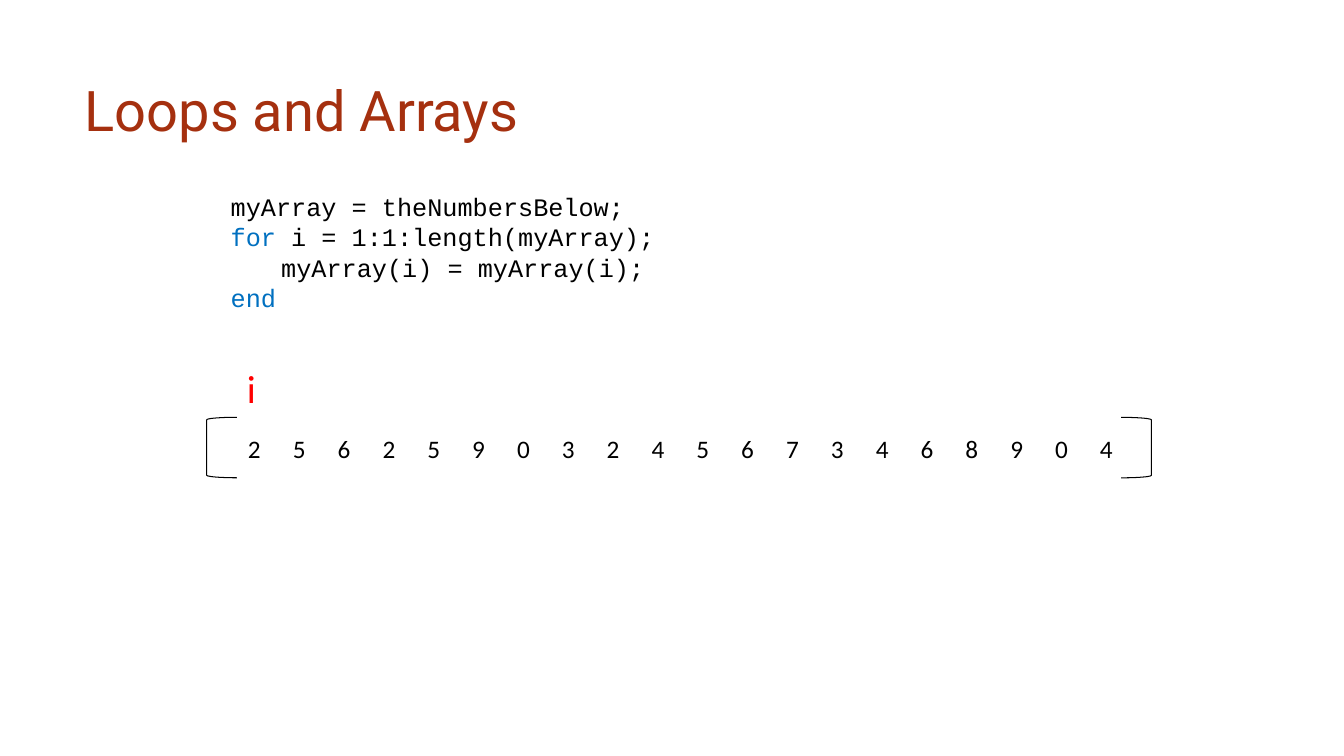
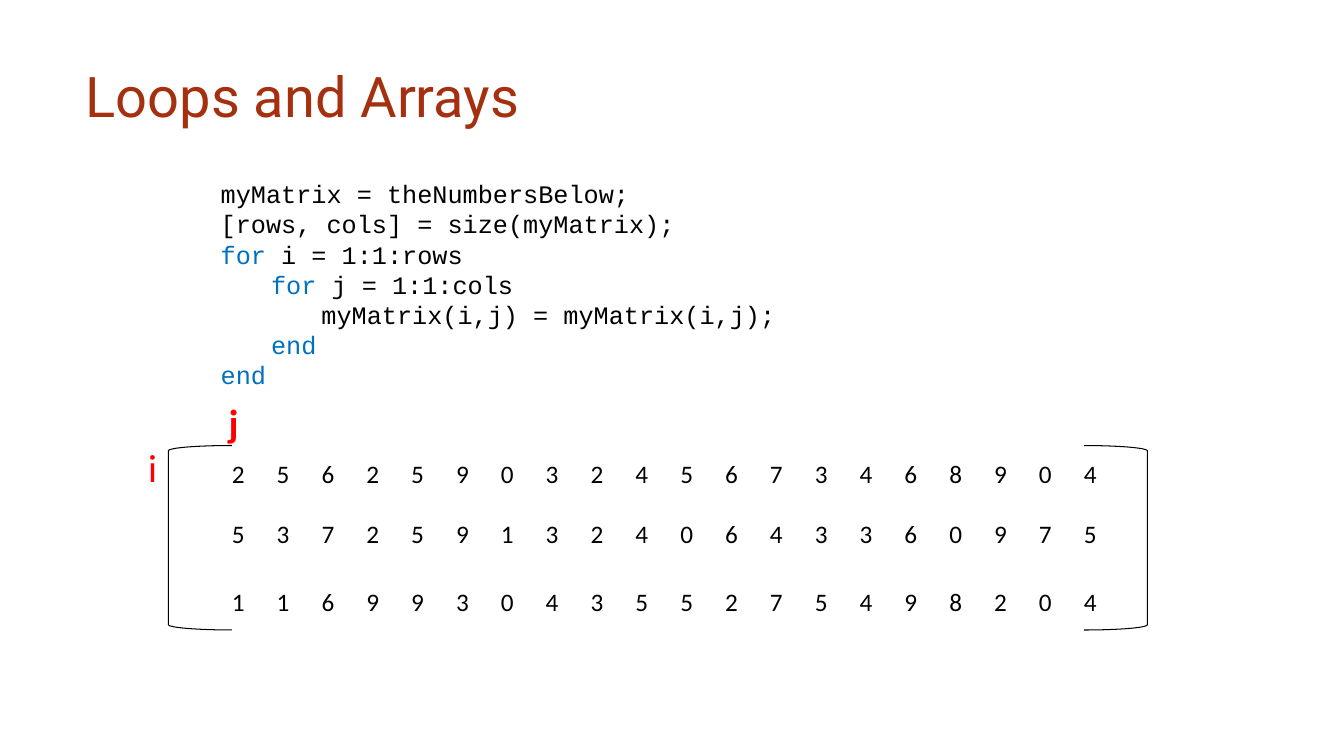
from dataclasses import dataclass

from lxml.etree import SubElement
from pptx import Presentation
from pptx.dml.color import RGBColor
from pptx.enum.shapes import MSO_SHAPE
from pptx.enum.text import MSO_ANCHOR, MSO_AUTO_SIZE, PP_ALIGN
from pptx.oxml.ns import qn
from pptx.util import Inches, Pt

# Shared style
TITLE_COLOR = "A5300F"
KEYWORD_COLOR = "0070C0"
INDEX_COLOR = "FF0000"
BLACK = "000000"
TITLE_FONT, CODE_FONT, TEXT_FONT = "Roboto", "Courier New", "Calibri"
KEYWORDS = ("for", "end")
TAB_STOPS = (0.5, 1.0)
COLUMNS = 20
ROW_SPAN = 8.45  # first digit to last digit
PITCH = ROW_SPAN / (COLUMNS - 1)


@dataclass(frozen=True)
class Box:
    left: float
    top: float
    width: float
    height: float

    def lengths(self):
        return [Inches(v) for v in (self.left, self.top, self.width, self.height)]


@dataclass(frozen=True)
class DigitRow:
    top: float
    digits: str


@dataclass(frozen=True)
class IndexLabel:
    text: str
    box: Box
    bold: bool = False


@dataclass(frozen=True)
class LoopSlide:
    title_box: Box
    code_box: Box
    code: tuple[str, ...]
    digits_left: float
    rows: tuple[DigitRow, ...]
    labels: tuple[IndexLabel, ...]
    brackets: tuple[Box, Box]


SLIDES = (
    LoopSlide(
        title_box=Box(0.74, 0.4, 9.4, 1.44),
        code_box=Box(2.19, 1.85, 6.05, 1.31),
        code=(
            "myArray = theNumbersBelow;",
            "for i = 1:1:length(myArray);",
            "\tmyArray(i) = myArray(i);",
            "end",
        ),
        digits_left=2.46,
        rows=(DigitRow(4.3, "25625903245673468904"),),
        labels=(IndexLabel("i", Box(2.35, 3.57, 0.88, 0.57)),),
        brackets=(Box(2.05, 4.14, 0.3, 0.6), Box(11.12, 4.14, 0.3, 0.6)),
    ),
    LoopSlide(
        title_box=Box(0.75, 0.27, 9.4, 1.44),
        code_box=Box(2.09, 1.72, 6.05, 2.22),
        code=(
            "myMatrix = theNumbersBelow;",
            "[rows, cols] = size(myMatrix);",
            "for i = 1:1:rows",
            "\tfor j = 1:1:cols",
            "\t\tmyMatrix(i,j) = myMatrix(i,j);",
            "\tend",
            "end",
        ),
        digits_left=2.3,
        rows=(
            DigitRow(4.55, "25625903245673468904"),
            DigitRow(5.14, "53725913240643360975"),
            DigitRow(5.82, "11699304355275498204"),
        ),
        labels=(
            IndexLabel("j", Box(2.17, 3.9, 0.88, 0.57), bold=True),
            IndexLabel("i", Box(1.37, 4.35, 0.3, 0.57)),
        ),
        brackets=(Box(1.67, 4.42, 0.63, 1.83), Box(10.75, 4.42, 0.63, 1.83)),
    ),
)


def color(value: str) -> RGBColor:
    return RGBColor.from_string(value)


def add_run(p, text: str, font: str, size: float, hex_color: str, bold: bool = False) -> None:
    r = p.add_run()
    r.text = text
    r.font.name = font
    r.font.size = Pt(size)
    r.font.bold = bold
    r.font.color.rgb = color(hex_color)


def add_text_frame(s, box: Box):
    tf = s.shapes.add_textbox(*box.lengths()).text_frame
    tf.word_wrap = True
    return tf


def add_title(s, text: str, box: Box) -> None:
    sp = s.shapes.title
    sp.left, sp.top, sp.width, sp.height = box.lengths()
    tf = sp.text_frame
    tf.auto_size = MSO_AUTO_SIZE.NONE
    tf.vertical_anchor = MSO_ANCHOR.MIDDLE
    p = tf.paragraphs[0]
    p.alignment = PP_ALIGN.LEFT
    p.line_spacing = 0.9
    add_run(p, text, TITLE_FONT, 40, TITLE_COLOR)


def add_tab_stops(p) -> None:
    tabs = SubElement(p._p.get_or_add_pPr(), qn("a:tabLst"))
    for stop in TAB_STOPS:
        SubElement(tabs, qn("a:tab"), pos=str(Inches(stop)), algn="l")


def add_code(s, lines: tuple[str, ...], box: Box) -> None:
    tf = add_text_frame(s, box)
    for n, line in enumerate(lines):
        p = tf.paragraphs[0] if n == 0 else tf.add_paragraph()
        add_tab_stops(p)
        body = line.lstrip("\t")
        indent = line[:len(line) - len(body)]
        word, space, rest = body.partition(" ")
        # A leading keyword gets its own colour
        if word in KEYWORDS:
            parts = ((indent, BLACK), (word, KEYWORD_COLOR), (space + rest, BLACK))
        else:
            parts = ((line, BLACK),)
        for text, hex_color in parts:
            if text:
                add_run(p, text, CODE_FONT, 18, hex_color)


def add_digits(s, left: float, row: DigitRow) -> None:
    for n, digit in enumerate(row.digits):
        tf = add_text_frame(s, Box(left + n * PITCH, row.top, 0.26, 0.3))
        tf.margin_left = tf.margin_right = tf.margin_top = tf.margin_bottom = 0
        add_run(tf.paragraphs[0], digit, TEXT_FONT, 18, BLACK)


def add_label(s, label: IndexLabel) -> None:
    p = add_text_frame(s, label.box).paragraphs[0]
    add_run(p, label.text, TEXT_FONT, 28, INDEX_COLOR, label.bold)


def add_bracket(s, box: Box, rotation: float) -> None:
    sp = s.shapes.add_shape(MSO_SHAPE.LEFT_BRACKET, *box.lengths())
    sp.rotation = rotation
    sp.shadow.inherit = False
    sp.fill.background()
    sp.line.color.rgb = color(BLACK)
    sp.line.width = Pt(0.75)


def add_loop_slide(prs, content: LoopSlide) -> None:
    s = prs.slides.add_slide(prs.slide_layouts[5])
    add_title(s, "Loops and Arrays", content.title_box)
    add_code(s, content.code, content.code_box)
    for label in content.labels:
        add_label(s, label)
    for row in content.rows:
        add_digits(s, content.digits_left, row)
    for box, rotation in zip(content.brackets, (0, 180)):
        add_bracket(s, box, rotation)


def main() -> None:
    prs = Presentation()
    prs.slide_width, prs.slide_height = Inches(13.33), Inches(7.5)
    for content in SLIDES:
        add_loop_slide(prs, content)
    prs.save("out.pptx")


if __name__ == "__main__":
    main()
